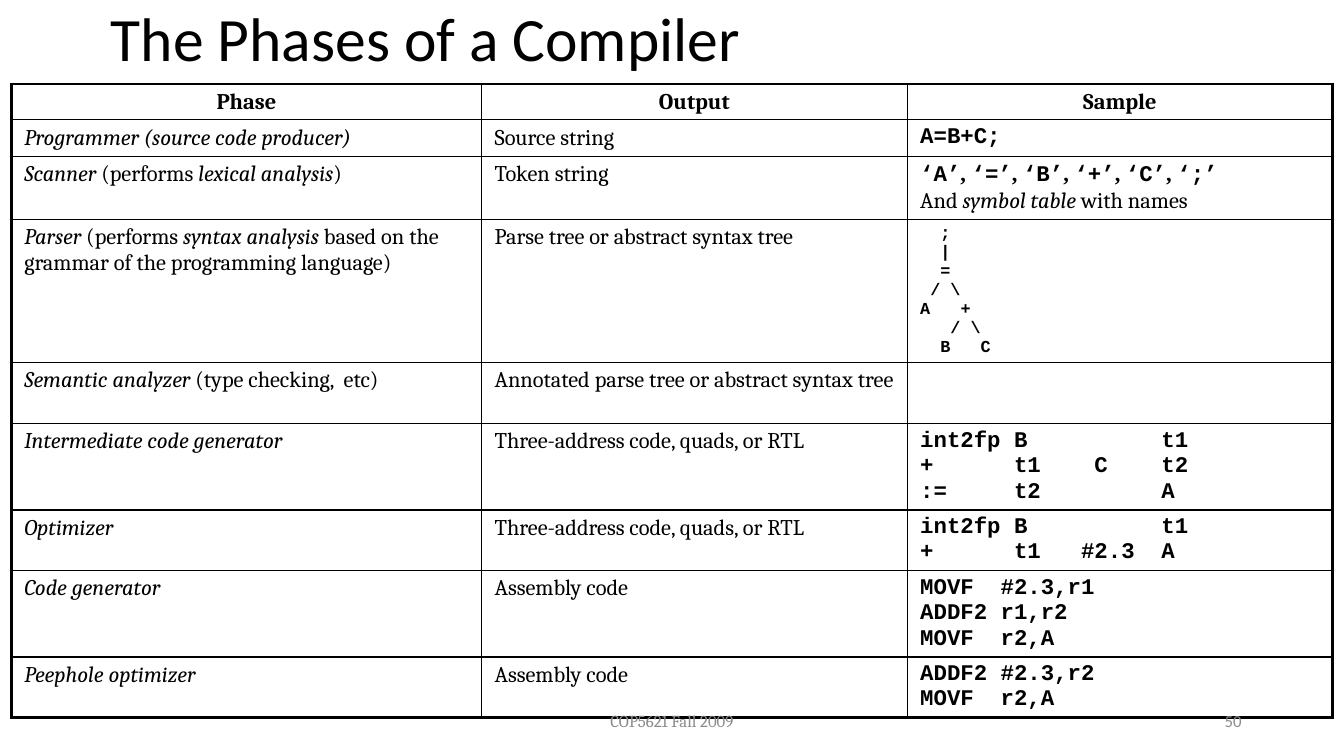
from copy import deepcopy

from lxml import etree
from pptx import Presentation
from pptx.dml.color import RGBColor
from pptx.enum import text
from pptx.oxml import ns
from pptx.util import Pt

COLORS = {"ink": "000000", "footer": "8C8C8C"}
INK = RGBColor.from_string(COLORS["ink"])

# style: font, bold, italic
STYLES = {
    "head": ("Cambria", True, False),
    "plain": ("Cambria", False, False),
    "term": ("Cambria", False, True),
    "code": ("Courier New", True, False),
    "comma": ("Times New Roman", True, False),
}

tokens = []
for symbol in "A=B+C":
    tokens += [("code", f"‘{symbol}’"), ("comma", ", ")]
tokens += [("code", "‘;’\n"), ("plain", "And "), ("term", "symbol table"),
           ("plain", " with names")]

# height in points, then the runs of the three cells
PHASES = [
    (25, [("head", "Phase")], [("head", "Output")], [("head", "Sample")]),
    (26, [("term", "Programmer (source code producer)")],
     [("plain", "Source string")], [("code", "A=B+C;")]),
    (45, [("term", "Scanner"), ("plain", " (performs "),
          ("term", "lexical analysis"), ("plain", ")")],
     [("plain", "Token string")], tokens),
    (102, [("term", "Parser"), ("plain", " (performs"),
           ("term", " syntax analysis"),
           ("plain", " based on the grammar of the programming language)")],
     [("plain", "Parse tree or abstract syntax tree")],
     [("code", "  ;\n  |\n  =\n / \\\nA   +\n   / \\\n  B   C")]),
    (44, [("term", "Semantic analyzer"), ("plain", " (type checking,  etc)")],
     [("plain", "Annotated parse tree or abstract syntax tree")], []),
    (61, [("term", "Intermediate code generator")],
     [("plain", "Three-address code, quads, or RTL")],
     [("code", "int2fp B          t1\n+      t1    C    t2\n:=     t2         A")]),
    (43, [("term", "Optimizer")],
     [("plain", "Three-address code, quads, or RTL")],
     [("code", "int2fp B          t1\n+      t1   #2.3  A")]),
    (61, [("term", "Code generator")], [("plain", "Assembly code")],
     [("code", "MOVF  #2.3,r1\nADDF2 r1,r2\nMOVF  r2,A")]),
    (43, [("term", "Peephole optimizer")], [("plain", "Assembly code")],
     [("code", "ADDF2 #2.3,r2\nMOVF  r2,A")]),
]
PARSER_ROW = 3
COLUMN_WIDTHS = [336, 304, 304]


def add_runs(paragraph, runs):
    """Add styled runs; each newline becomes a line break in the run's style."""
    for style, words in runs:
        for number, line in enumerate(words.split("\n")):
            if number:
                paragraph.add_line_break()
                paragraph._p[-1].append(deepcopy(run._r.rPr))
            if line:
                run = paragraph.add_run()
                run.text = line
                run.font.name, run.font.bold, run.font.italic = STYLES[style]


def set_borders(cell, widths):
    """Draw the left, right, top and bottom borders, widths in points."""
    properties = cell._tc.get_or_add_tcPr()
    for side, width in zip("LRTB", widths):
        line = etree.SubElement(properties, ns.qn(f"a:ln{side}"), w=str(Pt(width)))
        fill = etree.SubElement(line, ns.qn("a:solidFill"))
        etree.SubElement(fill, ns.qn("a:srgbClr"), val=COLORS["ink"])


deck = Presentation()
deck.slide_width, deck.slide_height = Pt(960), Pt(540)
slide = deck.slides.add_slide(deck.slide_layouts[5])

title = slide.shapes.title
title.left, title.top, title.width, title.height = Pt(72), Pt(0), Pt(816), Pt(60)
title.text_frame.text = "The Phases of a Compiler"
title.text_frame.vertical_anchor = text.MSO_ANCHOR.MIDDLE
heading = title.text_frame.paragraphs[0]
heading.alignment = text.PP_ALIGN.LEFT
heading.line_spacing = 0.9
heading.font.name, heading.font.size = "Calibri", Pt(44)
heading.font.color.rgb = INK

phases = slide.shapes.add_table(
    len(PHASES), len(COLUMN_WIDTHS), Pt(8), Pt(60),
    Pt(sum(COLUMN_WIDTHS)), Pt(sum(row[0] for row in PHASES))).table
phases.first_row = phases.horz_banding = False
for column, width in zip(phases.columns, COLUMN_WIDTHS):
    column.width = Pt(width)

last_row, last_column = len(PHASES) - 1, len(COLUMN_WIDTHS) - 1
for r, (height, *cells) in enumerate(PHASES):
    phases.rows[r].height = Pt(height)
    for c, runs in enumerate(cells):
        cell = phases.cell(r, c)
        cell.margin_left = cell.margin_right = Pt(9.36)
        cell.margin_top = cell.margin_bottom = Pt(3.6)
        outer = (c == 0, c == last_column, r == 0, r == last_row)
        set_borders(cell, [2.25 if edge else 1 for edge in outer])
        cell.fill.background()
        paragraph = cell.text_frame.paragraphs[0]
        paragraph.alignment = text.PP_ALIGN.LEFT if r else text.PP_ALIGN.CENTER
        is_tree = r == PARSER_ROW and c == last_column
        paragraph.font.size = Pt(12 if is_tree else 16)
        paragraph.font.color.rgb = INK
        add_runs(paragraph, runs)

for words, left, width, font, alignment in [
        ("50", 678, 216, "Calibri", text.PP_ALIGN.RIGHT),
        ("COP5621 Fall 2009", 318, 324, "Cambria", text.PP_ALIGN.CENTER)]:
    footer = slide.shapes.add_textbox(Pt(left), Pt(500.5), Pt(width), Pt(28.75)).text_frame
    footer.word_wrap = True
    footer.vertical_anchor = text.MSO_ANCHOR.MIDDLE
    footer.text = words
    note = footer.paragraphs[0]
    note.alignment = alignment
    note.font.name, note.font.size = font, Pt(12)
    note.font.color.rgb = RGBColor.from_string(COLORS["footer"])

deck.save("out.pptx")
